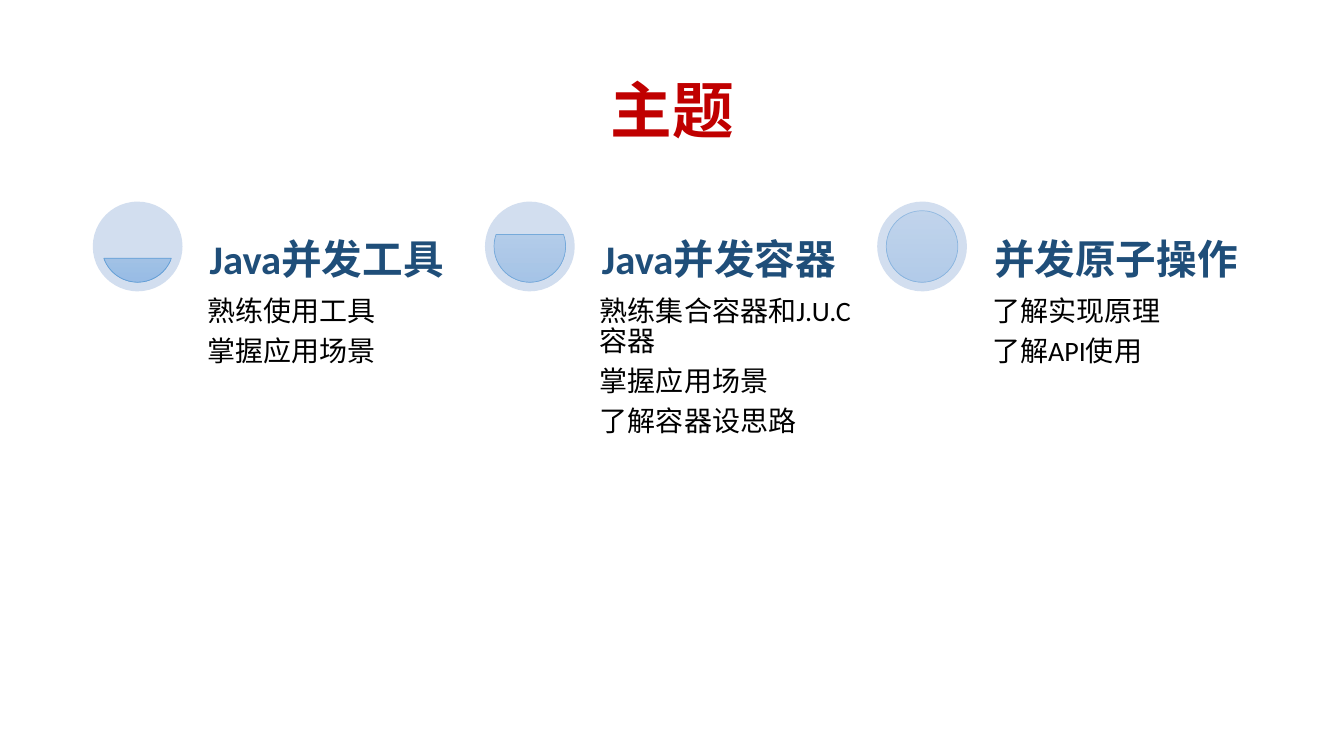
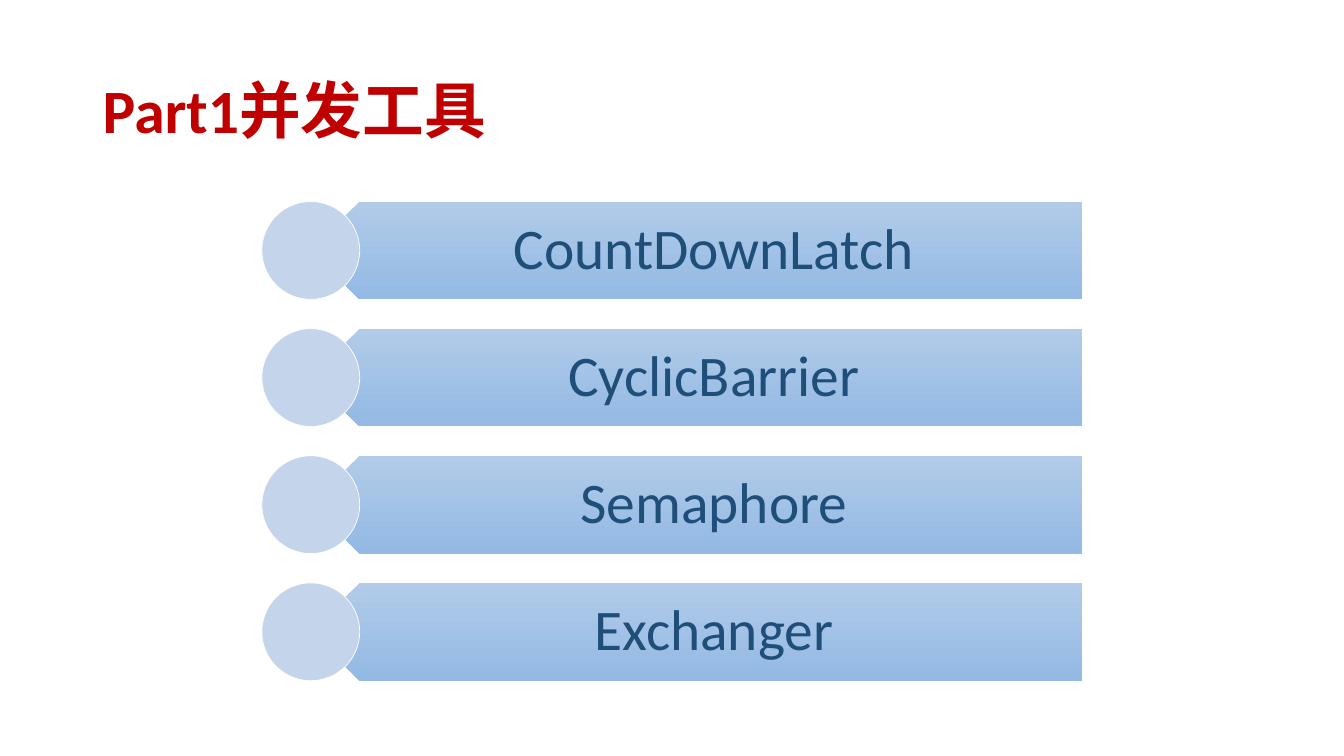
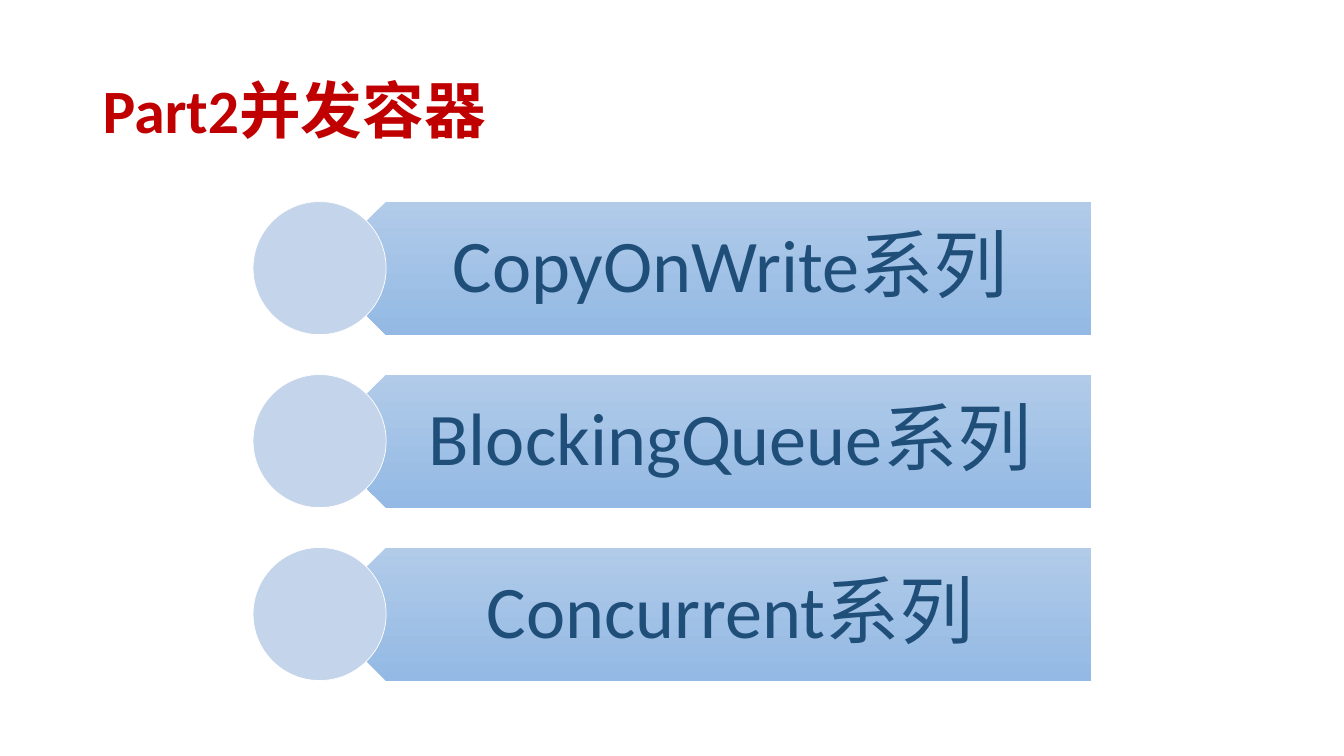
from lxml import etree
from pptx import Presentation
from pptx import util as u
from pptx.dml.color import RGBColor
from pptx.enum import shapes, text
from pptx.oxml.ns import qn

SLIDE_WIDTH, SLIDE_HEIGHT = 13.33, 7.5
CONTENT_TOP = 2


def color(hex_string):
    return RGBColor.from_string(hex_string)


class Deck:
    """Shared style, the current page, and one method per kind of element."""

    FONT = "Calibri"
    RED, NAVY, BLACK, WHITE = "C00000", "1F4E79", "000000", "FFFFFF"
    PALE, DISC, EDGE = "D2DEEF", "C4D5EB", "5B9BD5"
    GRADIENT = ("B1CBE9", "93B9E4")

    def __init__(self):
        self.show = Presentation()
        self.show.slide_width = u.Inches(SLIDE_WIDTH)
        self.show.slide_height = u.Inches(SLIDE_HEIGHT)
        self.page = None

    def new_page(self, title, align=text.PP_ALIGN.LEFT):
        self.page = self.show.slides.add_slide(self.show.slide_layouts[6])
        self.label([title], 0.92, 0.4, 11.5, 1.45, 44, self.RED, bold=True,
                   align=align, anchor=text.MSO_ANCHOR.MIDDLE,
                   insets=(0.1, 0.05, 0.1, 0.05), gap=0)

    def label(self, lines, left, top, width, height, size, ink, bold=False,
              align=text.PP_ALIGN.LEFT, anchor=text.MSO_ANCHOR.TOP,
              insets=(0.06,) * 4, gap=0.35):
        box = self.page.shapes.add_textbox(
            *map(u.Inches, (left, top, width, height)))
        frame = box.text_frame
        frame.word_wrap = True
        frame.vertical_anchor = anchor
        (frame.margin_left, frame.margin_top,
         frame.margin_right, frame.margin_bottom) = map(u.Inches, insets)
        frame.text = "\n".join(lines)
        for para in frame.paragraphs:
            para.alignment = align
            para.line_spacing = 0.9
            para.space_after = u.Pt(gap * size)
            para.font.name = self.FONT
            para.font.size = u.Pt(size)
            para.font.bold = bold
            para.font.color.rgb = color(ink)

    def shape(self, kind, left, top, width, height, fill=None, line=None):
        """Draw a preset shape; without a fill it gets the shared gradient."""
        item = self.page.shapes.add_shape(
            kind, *map(u.Inches, (left, top, width, height)))
        item.shadow.inherit = False
        if fill:
            item.fill.solid()
            item.fill.fore_color.rgb = color(fill)
        else:
            item.fill.gradient()
            item.fill.gradient_angle = 270
            for stop, shade in zip(item.fill.gradient_stops, self.GRADIENT):
                stop.color.rgb = color(shade)
        if line:
            item.line.color.rgb = color(line)
            item.line.width = u.Pt(0.5)
        else:
            item.line.fill.background()
        return item

    def circle(self, left, top, size, fill, line=None):
        self.shape(shapes.MSO_SHAPE.OVAL, left, top, size, size, fill, line)

    def gauge(self, left, top, start, end, opacity):
        """Draw a disc filled up to the chord between two angles."""
        size, margin = 0.89, 0.09
        self.circle(left, top, size, self.PALE)
        inner = size - 2 * margin
        level = self.shape(shapes.MSO_SHAPE.CHORD, left + margin, top + margin,
                           inner, inner, line=self.EDGE)
        # Angles are stored in 60000ths of a degree, adjustments in 100000ths
        level.adjustments[0] = start * 0.6
        level.adjustments[1] = end * 0.6
        for tint in level._element.spPr.iter(qn("a:srgbClr")):
            etree.SubElement(tint, qn("a:alpha"), val=str(opacity * 1000))

    def topic(self, left, heading, lines, gauge):
        text_left, width, head_height = left + 1.08, 2.63, 0.89
        self.gauge(left, CONTENT_TOP, *gauge)
        self.label(lines, text_left, CONTENT_TOP + head_height, width, 3.74,
                   20, self.BLACK)
        self.label([heading], text_left, CONTENT_TOP, width, head_height,
                   29, self.NAVY, bold=True, anchor=text.MSO_ANCHOR.BOTTOM,
                   insets=(0.08,) * 4)

    def bar_list(self, names, height, size):
        """Stack arrow bars with a disc on each tip, centred on the page."""
        width = 7.65
        left = (SLIDE_WIDTH - width - height / 2) / 2
        tip = left + height / 2
        insets = (0.44 * height, size / 240, size / 128, size / 240)
        for row, name in enumerate(names):
            top = CONTENT_TOP + row * 1.3 * height
            bar = self.shape(shapes.MSO_SHAPE.PENTAGON, tip, top, width, height)
            bar._element.spPr.find(qn("a:xfrm")).set("flipH", "1")
            self.label([name], tip + height / 4, top, width - height / 4,
                       height, size, self.NAVY, align=text.PP_ALIGN.CENTER,
                       anchor=text.MSO_ANCHOR.MIDDLE, insets=insets)
            self.circle(left, top, height, self.DISC, self.WHITE)


def main():
    deck = Deck()

    # Topics: heading, lines, gauge (start angle, end angle, opacity)
    deck.new_page("主题", align=text.PP_ALIGN.CENTER)
    topics = [
        ("Java并发工具", ["熟练使用工具", "掌握应用场景"],
         (19.47, 160.53, 90)),
        ("Java并发容器",
         ["熟练集合容器和J.U.C容器", "掌握应用场景", "了解容器设思路"],
         (340.53, 199.47, 70)),
        ("并发原子操作", ["了解实现原理", "了解API使用"],
         (270, 270, 50)),
    ]
    for column, topic in enumerate(topics):
        deck.topic(0.92 + column * 3.89, *topic)

    # Concurrency tools
    deck.new_page("Part1并发工具")
    deck.bar_list(["CountDownLatch", "CyclicBarrier", "Semaphore", "Exchanger"],
                  height=0.97, size=41)

    # Concurrent containers
    deck.new_page("Part2并发容器")
    deck.bar_list(["CopyOnWrite系列", "BlockingQueue系列", "Concurrent系列"],
                  height=1.32, size=53)

    deck.show.save("out.pptx")


if __name__ == "__main__":
    main()
